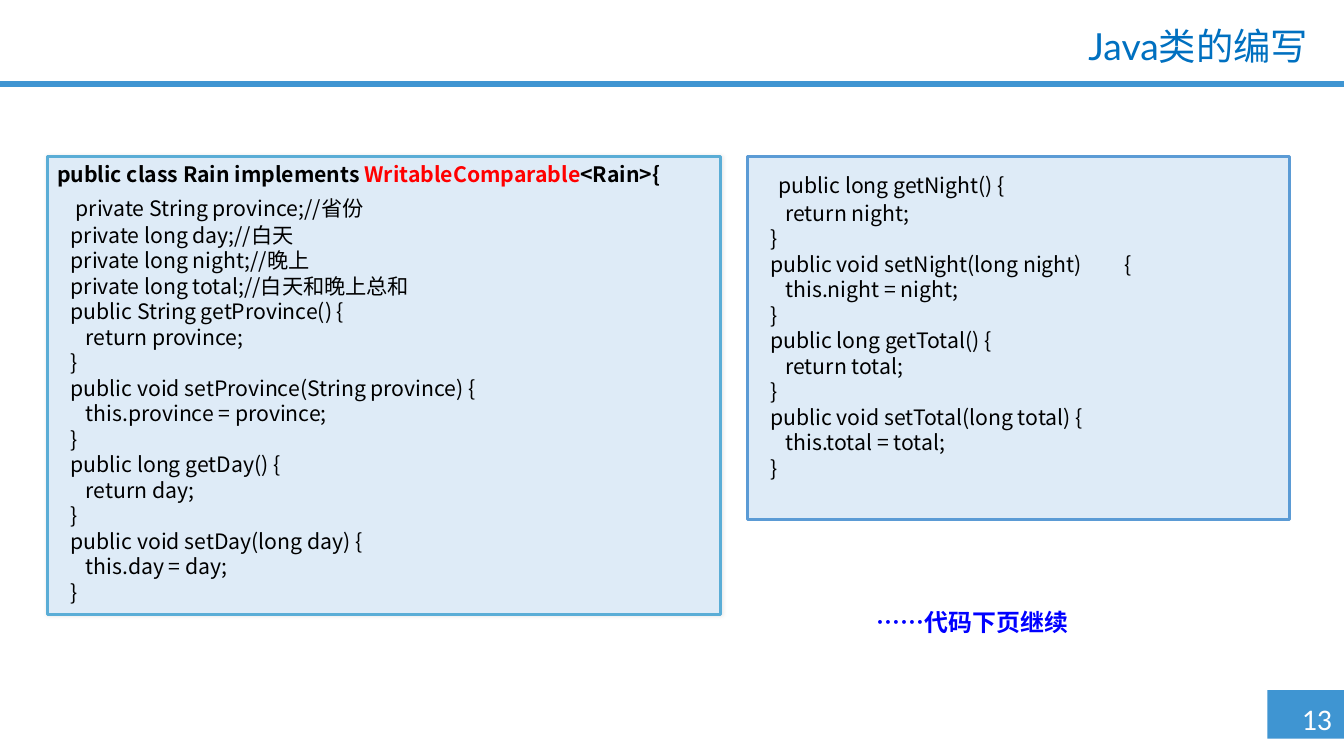
import pptx
import pptx.util
import pptx.dml.color
import pptx.enum.shapes
import pptx.enum.text
import pptx.oxml
import pptx.oxml.ns

Pt = pptx.util.Pt
ALIGN = pptx.enum.text.PP_ALIGN
ANCHOR = pptx.enum.text.MSO_ANCHOR
COLORS = {
    "band": "3F95D2", "panel": "DEEBF7", "left_edge": "5AADD6",
    "right_edge": "5B9BD5", "code": "000000", "keyword": "FF0000",
    "note": "0000FF", "title": "0070C0", "number": "FFFFFF",
}
CODE_FONT = "Noto Sans CJK SC"
CODE_SIZE = 16
LINE_PITCH = 19.2
MEMBER_INDENT = 10.3
BODY_INDENT = 21.6
WIDTH, HEIGHT = 1012.32, 569.52


def color(name):
    return pptx.dml.color.RGBColor.from_string(COLORS[name])


def add_run(paragraph, text, font, size, color_name, bold=False):
    run = paragraph.add_run()
    run.text = text
    run.font.name = font
    run.font.size = Pt(size)
    run.font.bold = bold
    run.font.color.rgb = color(color_name)
    east_asian = pptx.oxml.parse_xml(
        f'<a:ea {pptx.oxml.ns.nsdecls("a")} typeface="{CODE_FONT}"/>')
    run.font._element.find(pptx.oxml.ns.qn("a:latin")).addnext(east_asian)
    return run


def add_rectangle(slide, box, fill, edge=None):
    rectangle = slide.shapes.add_shape(
        pptx.enum.shapes.MSO_SHAPE.RECTANGLE, *map(Pt, box))
    rectangle.shadow.inherit = False
    rectangle.fill.solid()
    rectangle.fill.fore_color.rgb = color(fill)
    if edge:
        rectangle.line.color.rgb = color(edge)
        rectangle.line.width = Pt(2.25)
    else:
        rectangle.line.fill.background()
    return rectangle


def add_label(slide, box, text, font, size, color_name, align,
              bold=False, wrap=True, anchor=ANCHOR.TOP):
    frame = slide.shapes.add_textbox(*map(Pt, box)).text_frame
    frame.word_wrap = wrap
    frame.vertical_anchor = anchor
    paragraph = frame.paragraphs[0]
    paragraph.alignment = align
    add_run(paragraph, text, font, size, color_name, bold)
    return paragraph


def add_header(slide, box):
    left, top, width, height = box
    add_rectangle(slide, (left, top + height - 4.3, width, 4.3), "band")
    title = add_label(slide, (left + width - 291, top + 15.8, 271, 41),
                      "Java类的编写", "Lato", 28.1, "title", ALIGN.RIGHT,
                      anchor=ANCHOR.MIDDLE)
    title.line_spacing = 0.9


def add_page_number(slide, box):
    left, top, width, height = box
    add_rectangle(slide, box, "band")
    add_label(slide, (left + 18.7, top + 4.3, 46.8, 34.6), "13", "Calibri",
              22.5, "number", ALIGN.LEFT, wrap=False)


def add_code_panel(slide, box, edge, lines):
    panel = add_rectangle(slide, box, "panel", edge)
    frame = panel.text_frame
    frame.word_wrap = True
    frame.vertical_anchor = ANCHOR.TOP
    for index, (indent, pitch, pieces) in enumerate(lines):
        paragraph = frame.paragraphs[0] if index == 0 else frame.add_paragraph()
        paragraph.alignment = ALIGN.LEFT
        paragraph.line_spacing = Pt(pitch)
        properties = paragraph._p.get_or_add_pPr()
        properties.set("marL", str(Pt(indent)))
        properties.set("indent", "0")
        for text, color_name, bold, spacing in pieces:
            run = add_run(paragraph, text, CODE_FONT, CODE_SIZE, color_name, bold)
            if spacing:
                run.font._element.set("spc", str(spacing * 100))
    return panel


def code_line(text, indent=MEMBER_INDENT, pitch=LINE_PITCH):
    return indent, pitch, [(text, "code", False, 0)]


def method(signature, statement):
    return [code_line(signature + " {"), code_line(statement, BODY_INDENT),
            code_line("}")]


def add_soft_shadow(panel):
    effects = panel._element.spPr.find(pptx.oxml.ns.qn("a:effectLst"))
    effects.append(pptx.oxml.parse_xml(
        f'<a:outerShdw {pptx.oxml.ns.nsdecls("a")} blurRad="{Pt(3)}" dist="0" '
        'dir="0" algn="ctr" rotWithShape="0">'
        '<a:srgbClr val="000000"><a:alpha val="10000"/></a:srgbClr>'
        '</a:outerShdw>'))


def add_fields_panel(slide, box):
    declaration = (0, LINE_PITCH, [
        ("public class Rain implements ", "code", True, 0),
        ("WritableComparable", "keyword", True, 0),
        ("<Rain>{", "code", True, 0)])
    lines = [
        declaration,
        code_line("private String province;//省份", 14, 25.6),
        code_line("private long day;//白天", pitch=20.3),
        code_line("private long night;//晚上"),
        code_line("private long total;//白天和晚上总和"),
        *method("public String getProvince()", "return province;"),
        *method("public void setProvince(String province)",
                "this.province = province;"),
        *method("public long getDay()", "return day;"),
        *method("public void setDay(long day)", "this.day = day;"),
    ]
    add_soft_shadow(add_code_panel(slide, box, "left_edge", lines))


def add_accessors_panel(slide, box):
    set_night = (MEMBER_INDENT, LINE_PITCH, [
        ("public void setNight(long night)", "code", False, 0),
        (" ", "code", False, 28),
        ("{", "code", False, 0)])
    lines = [
        code_line("public long getNight() {", 16.4, 27.5),
        code_line("return night;", BODY_INDENT, 21),
        code_line("}"),
        set_night,
        code_line("this.night = night;", BODY_INDENT),
        code_line("}"),
        *method("public long getTotal()", "return total;"),
        *method("public void setTotal(long total)", "this.total = total;"),
    ]
    add_code_panel(slide, box, "right_edge", lines)


def add_continuation(slide, box):
    add_label(slide, box, "……代码下页继续", "Calibri", 18, "note",
              ALIGN.RIGHT, bold=True)


deck = pptx.Presentation()
deck.slide_width, deck.slide_height = Pt(WIDTH), Pt(HEIGHT)
slide = deck.slides.add_slide(deck.slide_layouts[6])
add_page_number(slide, (WIDTH - 57.6, 519.8, 57.6, 36.7))
add_header(slide, (0, 0, WIDTH, 65.5))
add_fields_panel(slide, (36, 118, 506.9, 344.9))
add_accessors_panel(slide, (563, 118, 408.2, 273.6))
add_continuation(slide, (632.2, 454.3, 179.3, 28.8))
deck.save("out.pptx")
